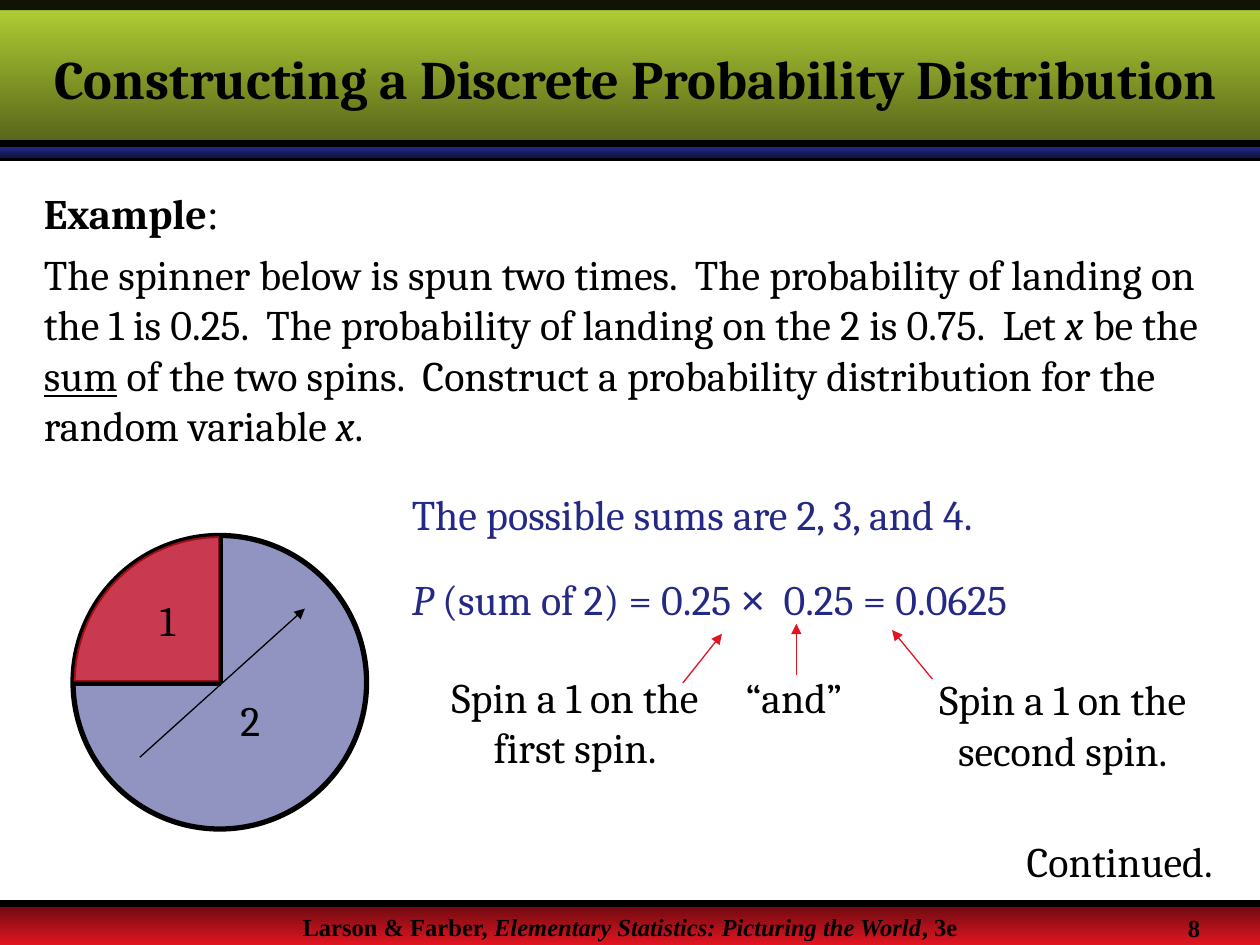
from lxml.etree import SubElement
from pptx import Presentation
from pptx.dml.color import RGBColor
from pptx.enum.shapes import MSO_CONNECTOR, MSO_SHAPE
from pptx.enum.text import MSO_ANCHOR, PP_ALIGN
from pptx.oxml.ns import qn
from pptx.util import Inches, Pt

COLORS = {
    "black": "000000",
    "navy": "242985",
    "deep navy": "11133E",
    "lime": "B5D335",
    "olive": "546219",
    "red": "E11521",
    "maroon": "680A0F",
}
BODY_FONT = "Cambria"
FOOTER_FONT = "Times New Roman"


def color(name):
    """Return the named colour."""
    return RGBColor.from_string(COLORS[name])


def fill_solid(shape, name, opacity):
    """Fill a shape with a partly transparent colour."""
    shape.fill.solid()
    shape.fill.fore_color.rgb = color(name)
    tint = shape._element.spPr.find(qn("a:solidFill"))[0]
    SubElement(tint, qn("a:alpha"), val=str(opacity * 1000))


def add_band(slide, top, height, upper, lower):
    """Add a full-width band that shades from the upper to the lower colour."""
    band = slide.shapes.add_shape(
        MSO_SHAPE.RECTANGLE, 0, Inches(top), Inches(10), Inches(height))
    band.shadow.inherit = False
    band.line.fill.background()
    band.fill.gradient()
    band.fill.gradient_angle = 270
    for stop, name in zip(band.fill.gradient_stops, (upper, lower)):
        stop.color.rgb = color(name)


def add_top_strip(slide):
    """Add the dark strip along the top edge."""
    strip = slide.shapes.add_shape(
        MSO_SHAPE.RECTANGLE, 0, 0, Inches(10), Inches(0.08))
    strip.shadow.inherit = False
    strip.line.fill.background()
    fill_solid(strip, "black", 90)


def add_line(slide, start, end, name="black", weight=0.75, arrow=False):
    """Add a straight line, with an arrowhead at its end if asked."""
    line = slide.shapes.add_connector(
        MSO_CONNECTOR.STRAIGHT, *map(Inches, start + end))
    line.line.color.rgb = color(name)
    line.line.width = Pt(weight)
    if arrow:
        SubElement(line.line._get_or_add_ln(), qn("a:tailEnd"), type="triangle")
    SubElement(line._element.spPr, qn("a:effectLst"))


def style_font(font, size, name="black", face=BODY_FONT, bold=False):
    """Set the size, colour, face and weight of a font."""
    font.size = Pt(size)
    font.color.rgb = color(name)
    font.name = face
    font.bold = bold


def add_runs(paragraph, runs):
    """Add (text, font settings) runs to a paragraph."""
    for text, settings in runs:
        run = paragraph.add_run()
        run.text = text
        for key, value in settings.items():
            setattr(run.font, key, value)


def add_text(slide, place, paragraphs, align=PP_ALIGN.LEFT, wrap=True,
             size=24, **look):
    """Add a text box that holds paragraphs of runs."""
    frame = slide.shapes.add_textbox(*map(Inches, place)).text_frame
    frame.word_wrap = wrap
    for index, runs in enumerate(paragraphs):
        paragraph = frame.add_paragraph() if index else frame.paragraphs[0]
        paragraph.alignment = align
        if index:
            paragraph.space_before = Pt(6)
        style_font(paragraph.font, size, **look)
        add_runs(paragraph, runs)


def add_frame(slide):
    """Add the header and footer bands, rules and footer wording."""
    add_band(slide, 7.17, 0.33, "maroon", "red")
    add_line(slide, (0, 1.25), (10, 1.25), weight=4)
    add_text(slide, (0, 7.19, 10, 0.2), [[
        ("Larson & Farber, ", {}),
        ("Elementary Statistics: Picturing the World", {"italic": True}),
        (", 3e", {}),
    ]], PP_ALIGN.CENTER, size=14, face=FOOTER_FONT, bold=True)
    add_band(slide, 1.17, 0.08, "navy", "deep navy")
    add_band(slide, 0, 1.17, "lime", "olive")
    add_line(slide, (0, 7.17), (10, 7.17), weight=4)
    add_top_strip(slide)
    add_line(slide, (0, 1.14), (10, 1.14), weight=4)
    add_text(slide, (9.33, 7.2, 1.08, 0.34), [[("8", {})]], wrap=False,
             size=14, face=FOOTER_FONT, bold=True)


def set_title(slide, text):
    """Place and format the title in front of the header band."""
    title = slide.shapes.title
    title.left, title.top, title.width, title.height = map(
        Inches, (-0.25, 0.08, 10.58, 1.08))
    title.text_frame.text = text
    title.text_frame.vertical_anchor = MSO_ANCHOR.MIDDLE
    heading = title.text_frame.paragraphs[0]
    heading.alignment = PP_ALIGN.CENTER
    style_font(heading.font, 31, bold=True)
    slide.shapes._spTree.append(title._element)


def add_disc(slide, preset, name, opacity, weight):
    """Add a round part of the spinner."""
    disc = slide.shapes.add_shape(
        preset, *map(Inches, (0.58, 4.25, 2.33, 2.33)))
    disc.shadow.inherit = False
    fill_solid(disc, name, opacity)
    disc.line.color.rgb = color("black")
    disc.line.width = Pt(weight)
    return disc


def add_spinner(slide):
    """Add the spinner with its two sectors and pointer."""
    add_disc(slide, MSO_SHAPE.OVAL, "navy", 50, 3)
    for edge in ((0.58, 5.42), (1.75, 4.25)):
        add_line(slide, edge, (1.75, 5.42), weight=3)
    add_text(slide, (1.81, 5.46, 0.58, 0.5), [[("2", {})]])
    sector = add_disc(slide, MSO_SHAPE.PIE, "red", 70, 0.75)
    sector.adjustments[0] = 108
    sector.adjustments[1] = 162
    add_text(slide, (1.17, 4.67, 0.58, 0.5), [[("1", {})]])
    add_line(slide, (1.11, 6.01), (2.42, 4.83), arrow=True)


def add_callout(slide, place, text, start, end, wrap=True):
    """Add a remark with a red arrow to a part of the equation."""
    align = PP_ALIGN.CENTER if wrap else PP_ALIGN.LEFT
    add_text(slide, place, [[(text, {})]], align, wrap)
    add_line(slide, start, end, "red", arrow=True)


def main():
    """Build and save the slide."""
    deck = Presentation()
    deck.slide_width, deck.slide_height = Inches(10), Inches(7.5)
    slide = deck.slides.add_slide(deck.slide_layouts.get_by_name("Title Only"))
    add_frame(slide)
    set_title(slide, "Constructing a Discrete Probability Distribution")

    italic = {"italic": True}
    add_text(slide, (0.25, 1.44, 9.45, 1.9), [
        [("Example", {"bold": True}), (":", {"name": FOOTER_FONT})],
        [("The spinner below is spun two times.  The probability of landing "
          "on the 1 is 0.25.  The probability of landing on the 2 is 0.75.  "
          "Let ", {}),
         ("x", italic), (" be the ", {}), ("sum", {"underline": True}),
         (" of the two spins.  Construct a probability distribution for the "
          "random variable ", {}),
         ("x", italic), (".", {})],
    ])
    add_spinner(slide)
    add_text(slide, (8.05, 6.58, 1.9, 0.5), [[("Continued.", {})]], wrap=False)
    add_text(slide, (3.17, 3.83, 5.42, 0.5),
             [[("The possible sums are 2, 3, and 4.", {})]], name="navy")
    add_text(slide, (3.17, 4.5, 6.42, 0.5), [[
        ("P", italic), (" (sum of 2) = 0.25 ", {}), ("×", {"name": "Arial"}),
        ("  0.25 = 0.0625", {}),
    ]], name="navy")
    add_callout(slide, (5.82, 5.28, 1.04, 0.5), "“and”",
                (6.32, 5.36), (6.32, 4.95), wrap=False)
    add_callout(slide, (3.4, 5.28, 2.33, 0.9), "Spin a 1 on the first spin.",
                (5.42, 5.42), (5.73, 5.03))
    add_callout(slide, (7.02, 5.3, 2.83, 0.9), "Spin a 1 on the second spin.",
                (7.4, 5.39), (7.08, 5))
    deck.save("out.pptx")


if __name__ == "__main__":
    main()
